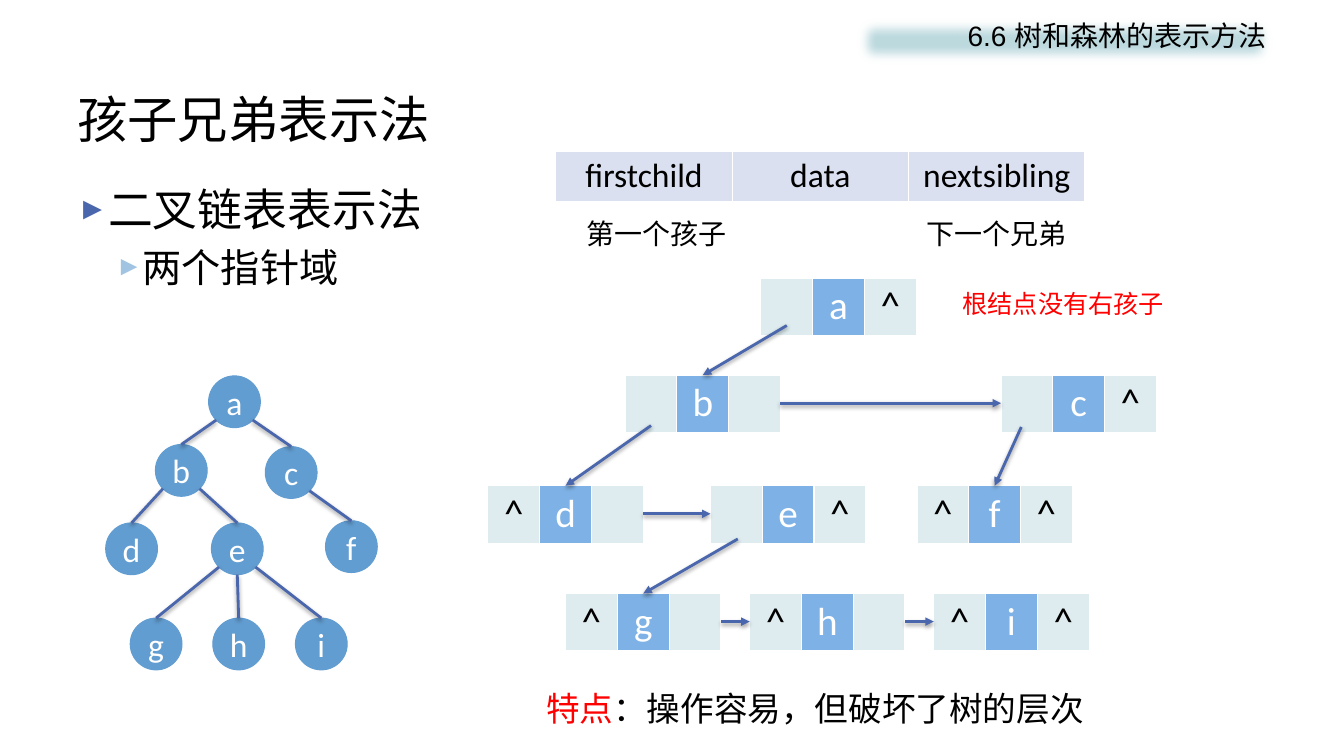
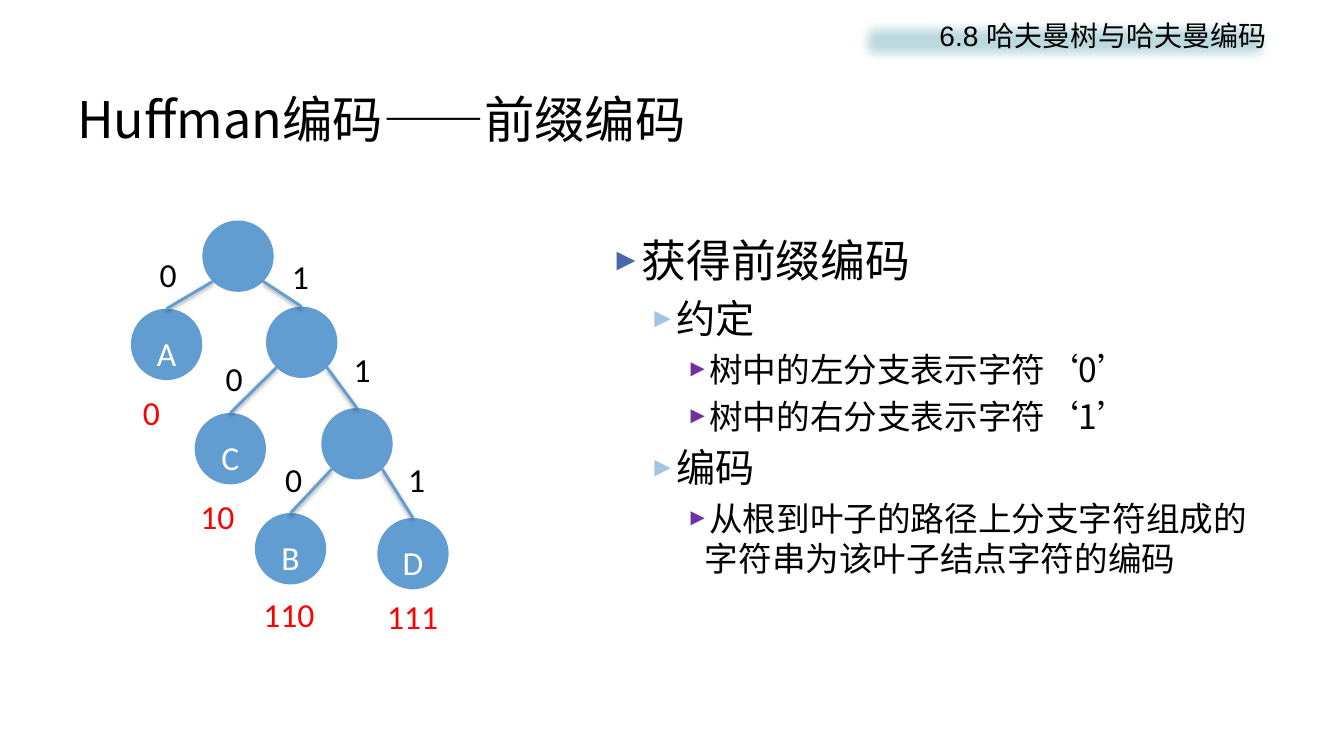
from math import sqrt

from lxml.etree import SubElement
from pptx import Presentation
from pptx.dml.color import RGBColor
from pptx.enum.shapes import MSO_CONNECTOR, MSO_SHAPE
from pptx.enum.text import MSO_ANCHOR as ANCHOR, PP_ALIGN as ALIGN
from pptx.oxml.ns import qn
from pptx.util import Pt

BLACK = RGBColor(0x00, 0x00, 0x00)
WHITE = RGBColor(0xFF, 0xFF, 0xFF)
RED = RGBColor(0xFF, 0x00, 0x00)
BAND = RGBColor(0xBD, 0xDA, 0xDF)
NAVY = RGBColor(0x4A, 0x66, 0xAC)
BLUE = RGBColor(0x62, 0x9D, 0xD1)
HEADING_FILL = RGBColor(0xDA, 0xE0, 0xEF)
POINTER_FILL = RGBColor(0xDE, 0xEC, 0xEF)
DATA_FILL = RGBColor(0x7E, 0xB2, 0xE6)
CJK, ARIAL, CALIBRI = "Noto Sans CJK SC", "Arial", "Calibri"

# Size, left margin, hanging indent and bullet colour of each outline level
LEVELS = [
    (32, 20, 20, "4A66AC"),
    (28, 44, 16.5, "A1C4E3"),
    (24, 67.5, 13.5, "7030A0"),
]


def set_text(para, text, size, color, font, align=ALIGN.LEFT, leading=1.2):
    para.text = text
    para.alignment = align
    para.line_spacing = Pt(size * leading)
    para.font.size = Pt(size)
    para.font.color.rgb = color
    para.font.name = font
    SubElement(para._p.pPr.find(qn("a:defRPr")), qn("a:ea"), typeface=CJK)


def add_line(page, start, end, color, arrow=False):
    line = page.shapes.add_connector(
        MSO_CONNECTOR.STRAIGHT, *(Pt(value) for value in (*start, *end)))
    line.line.color.rgb = color
    line.line.width = Pt(2)
    props = line._element.spPr
    if arrow:
        SubElement(props.find(qn("a:ln")), qn("a:tailEnd"), type="triangle")
    shadow = SubElement(SubElement(props, qn("a:effectLst")), qn("a:outerShdw"),
                        blurRad="40000", dist="20000", dir="5400000", rotWithShape="0")
    black = SubElement(shadow, qn("a:srgbClr"), val="000000")
    SubElement(black, qn("a:alpha"), val="38000")


deck = Presentation()
deck.slide_width, deck.slide_height = Pt(960), Pt(540)

# Shared parts: title, outline and section band
outlines = [
    ("6.6 树和森林的表示方法", "孩子兄弟表示法", (48, 126, 325, 108), [
        (0, "二叉链表表示法"),
        (1, "两个指针域"),
    ]),
    ("6.8 哈夫曼树与哈夫曼编码", "Huffman编码——前缀编码", (429, 163, 483, 294), [
        (0, "获得前缀编码"),
        (1, "约定"),
        (2, "树中的左分支表示字符‘0’"),
        (2, "树中的右分支表示字符‘1’"),
        (1, "编码"),
        (2, "从根到叶子的路径上分支字符组成的字符串为该叶子结点字符的编码"),
    ]),
]
pages = []
for section, title, area, items in outlines:
    page = deck.slides.add_slide(deck.slide_layouts[6])
    pages.append(page)

    box = page.shapes.add_textbox(Pt(48), Pt(57.5), Pt(864), Pt(54))
    box.text_frame.word_wrap = True
    box.text_frame.vertical_anchor = ANCHOR.MIDDLE
    set_text(box.text_frame.paragraphs[0], title, 36, BLACK, CJK)

    box = page.shapes.add_textbox(*(Pt(value) for value in area))
    box.text_frame.word_wrap = True
    for index, (level, text) in enumerate(items):
        frame = box.text_frame
        para = frame.add_paragraph() if index else frame.paragraphs[0]
        size, margin, hanging, bullet_color = LEVELS[level]
        if index:
            para.space_before = Pt(size * 0.2)
        para.level = level
        para.line_spacing = Pt(size * 1.2)
        props = para._p.get_or_add_pPr()
        props.set("marL", str(Pt(margin)))
        props.set("indent", str(-Pt(hanging)))
        SubElement(SubElement(props, qn("a:buClr")), qn("a:srgbClr"), val=bullet_color)
        SubElement(props, qn("a:buSzPct"), val="70000")
        SubElement(props, qn("a:buFont"), typeface=ARIAL)
        SubElement(props, qn("a:buChar"), char="►")
        set_text(para, text, size, BLACK, CJK)

    band = page.shapes.add_shape(MSO_SHAPE.RECTANGLE, Pt(609), Pt(10), Pt(303), Pt(39))
    band.fill.solid()
    band.fill.fore_color.rgb = BAND
    band.line.fill.background()
    SubElement(SubElement(band._element.spPr, qn("a:effectLst")),
               qn("a:softEdge"), rad="112500")
    band.text_frame.vertical_anchor = ANCHOR.TOP
    set_text(band.text_frame.paragraphs[0], section, 20, BLACK, ARIAL, ALIGN.RIGHT)

linked_page, coding_page = pages

# Trees: each edge runs from the parent's rim to the top of the child
trees = [
    (linked_page, MSO_SHAPE.OVAL, 37, 0.75, NAVY, 1.2, {
        "a": ("a", 149, 268.5), "b": ("b", 111, 317.5), "c": ("c", 189.5, 319),
        "d": ("d", 75.5, 373.5), "e": ("e", 151, 373.5), "f": ("f", 232.5, 372),
        "g": ("g", 93, 441.5), "h": ("h", 152, 441.5), "i": ("i", 211, 441.5),
    }, ["a b", "a c", "b d", "b e", "c f", "e g", "e h", "e i"]),
    (coding_page, MSO_SHAPE.FLOWCHART_CONNECTOR, 51, 0, BLUE, 1.7, {
        "root": ("", 144.5, 157.5), "A": ("A", 93.5, 220.5),
        "upper": ("", 190, 219), "C": ("C", 139, 295),
        "lower": ("", 229.5, 291.5), "B": ("B", 182, 366.5), "D": ("D", 269.5, 370),
    }, ["root A", "root upper", "upper C", "upper lower", "lower B", "lower D"]),
]
for page, kind, diameter, outline, edge_color, leading, nodes, edges in trees:
    for label, left, top in nodes.values():
        circle = page.shapes.add_shape(kind, Pt(left), Pt(top), Pt(diameter), Pt(diameter))
        circle.shadow.inherit = False
        circle.fill.solid()
        circle.fill.fore_color.rgb = BLUE
        if outline:
            circle.line.color.rgb = BLUE
            circle.line.width = Pt(outline)
        else:
            circle.line.fill.background()
        if label:
            frame = circle.text_frame
            frame.word_wrap = False
            frame.margin_left = frame.margin_right = Pt(3)
            frame.margin_top = frame.margin_bottom = Pt(3.6)
            frame.vertical_anchor = ANCHOR.MIDDLE
            set_text(frame.paragraphs[0], label, 24, WHITE, CALIBRI, ALIGN.CENTER, leading)

    radius = diameter / 2
    for edge in edges:
        (_, left, top), (_, child_left, child_top) = (nodes[key] for key in edge.split())
        shift = child_left - left
        diagonal = radius / sqrt(2)
        if abs(shift) < 5:
            across, down = 0, radius
        else:
            across, down = (diagonal if shift > 0 else -diagonal), diagonal
        add_line(page, (left + radius + across, top + radius + down),
                 (child_left + radius, child_top), edge_color)

# Tables: the field names, then one record per tree node
CELL, ROW = 37, 41
records = {
    "a": (543.5, 198.5, " a^"), "b": (446.5, 268, " b "), "c": (715, 268, " c^"),
    "d": (348.5, 347, "^d "), "e": (507.5, 347, " e^"), "f": (655, 347, "^f^"),
    "g": (404, 424, "^g "), "h": (535.5, 424, "^h "), "i": (667, 424, "^i^"),
}
tables = [(397, 108, 126, 36, 24, ("firstchild", "data", "nextsibling"),
           [HEADING_FILL] * 3, [BLACK] * 3)]
for left, top, fields in records.values():
    tables.append((left, top, CELL, ROW, 28, fields,
                   [POINTER_FILL, DATA_FILL, POINTER_FILL], [BLACK, WHITE, BLACK]))
for left, top, width, height, size, fields, fills, colors in tables:
    table = linked_page.shapes.add_table(
        1, 3, Pt(left), Pt(top), Pt(3 * width), Pt(height)).table
    table.first_row = table.horz_banding = False
    for cell, text, fill, color in zip(table.rows[0].cells, fields, fills, colors):
        cell.fill.solid()
        cell.fill.fore_color.rgb = fill
        cell.vertical_anchor = ANCHOR.MIDDLE
        set_text(cell.text_frame.paragraphs[0], text.strip(), size, color,
                 CALIBRI, ALIGN.CENTER)

# Pointers: first child with its start inside the record, then next sibling
for parent, child, across, down in [("a", "b", 18.5, 34), ("b", "d", 18.5, 36),
                                    ("c", "f", 14.5, 37), ("e", "g", 19.5, 38)]:
    left, top, _ = records[parent]
    child_left, child_top, _ = records[child]
    add_line(linked_page, (left + across, top + down),
             (child_left + 1.5 * CELL, child_top), NAVY, arrow=True)
for node, sibling in ["bc", "de", "gh", "hi"]:
    left, top, _ = records[node]
    add_line(linked_page, (left + 3 * CELL, top + 20),
             (records[sibling][0], top + 20), NAVY, arrow=True)

# Captions, branch digits and leaf codes
labels = [
    (linked_page, 412, 151, 115, "第一个孩子", 20, BLACK, CJK),
    (linked_page, 654.5, 151, 115, "下一个兄弟", 20, BLACK, CJK),
    (linked_page, 680.5, 202.5, 161, "根结点没有右孩子", 18, RED, ARIAL),
]
for left, top, digit in [(107, 178, "0"), (201.5, 179, "1"), (154, 252, "0"),
                         (196.5, 324, "0"), (245.5, 246, "1"), (284.5, 324, "1")]:
    labels.append((coding_page, left, top, 26.5, digit, 24, BLACK, CALIBRI))
for left, top, width, code in [(95, 276.5, 26.5, "0"), (136, 350.5, 39, "10"),
                               (181, 420.5, 51, "110"), (269.5, 422, 51, "111")]:
    labels.append((coding_page, left, top, width, code, 24, RED, CALIBRI))
labels.append((linked_page, 383, 488, 402.5, "特点", 24, RED, ARIAL))
for page, left, top, width, text, size, color, font in labels:
    box = page.shapes.add_textbox(Pt(left), Pt(top), Pt(width), Pt(size * 1.2 + 7.2))
    para = box.text_frame.paragraphs[0]
    set_text(para, text, size, color, font)
    if text == "特点":
        span = para.add_run()
        span.text = "：操作容易，但破坏了树的层次"
        span.font.color.rgb = BLACK
    box.text_frame.word_wrap = False

deck.save("out.pptx")
